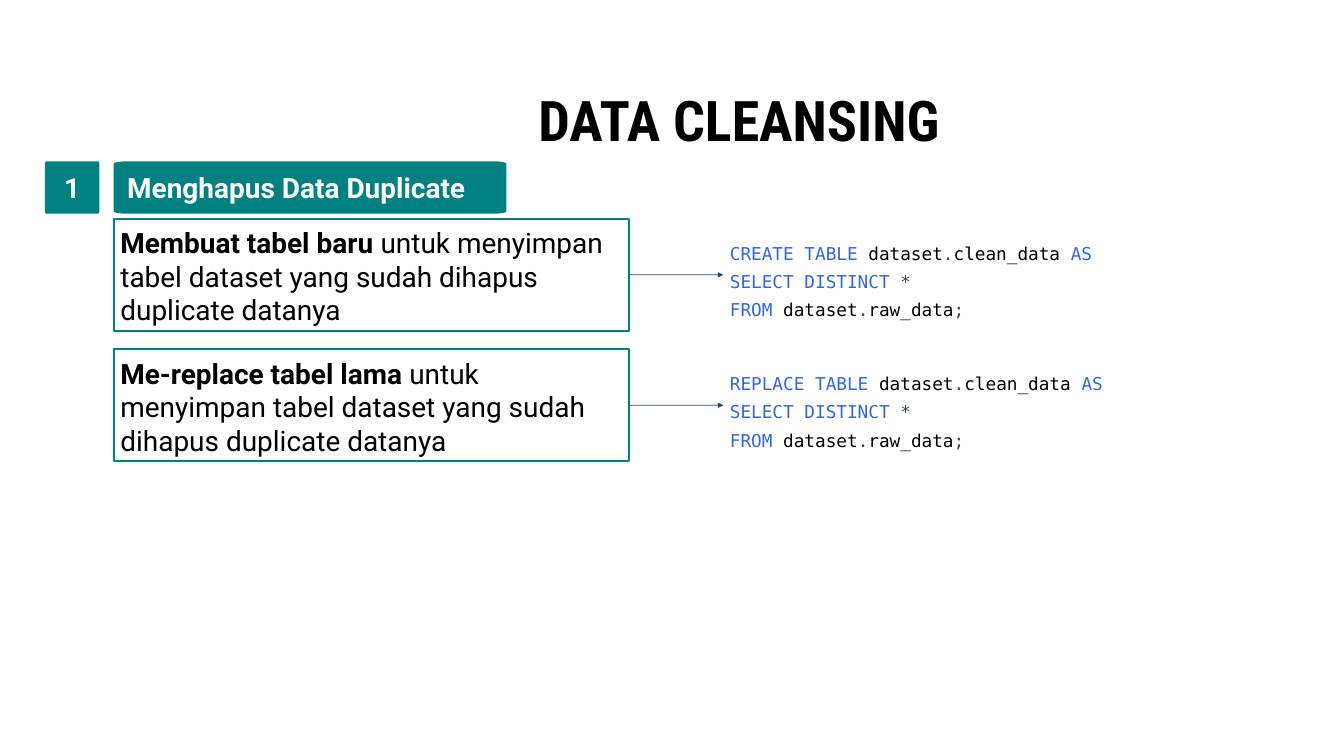
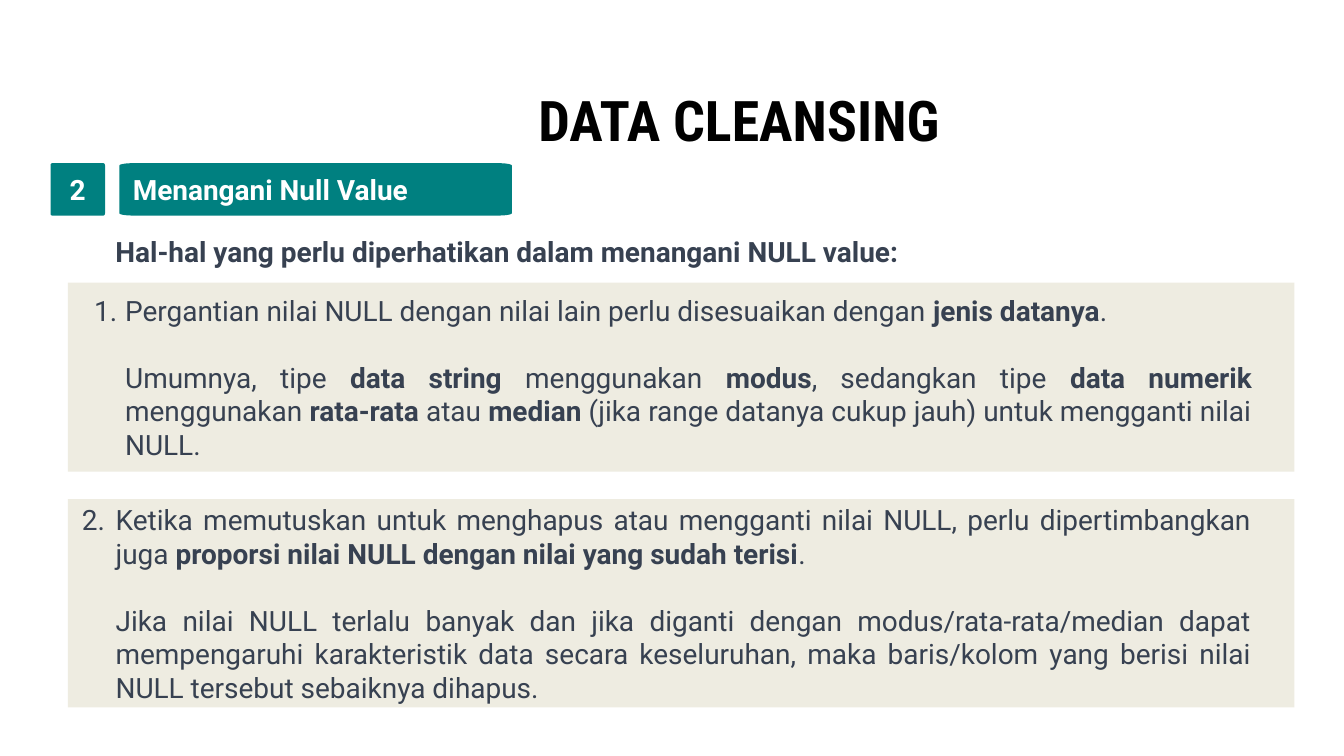
from itertools import groupby
from math import cos, pi, sin

from lxml.etree import SubElement
from pptx import Presentation
from pptx.dml.color import RGBColor
from pptx.enum.shapes import MSO_CONNECTOR, MSO_SHAPE
from pptx.enum.text import MSO_ANCHOR as Anchor, MSO_AUTO_SIZE, PP_ALIGN as Align
from pptx.oxml.ns import qn
from pptx.util import Cm, Pt

COLORS = {
    "teal": "008080",
    "panel": "EEECE1",
    "arrow": "1F497D",
    "black": "000000",
    "white": "FFFFFF",
    "slate": "374151",
    "keyword": "3367D6",
    "symbol": "3A474E",
    "star": "37474F",
}
BODY_FONT = "Roboto"
TITLE_FONT = "Roboto Condensed"
CODE_FONT = "DejaVu Sans Mono"
TITLE_ONLY = 5
INSET = 0.25


def rgb(name):
    return RGBColor.from_string(COLORS[name])


def bold_runs(text):
    """Split text at ** marks; every second part is bold."""
    return [(part, {"bold": index % 2 == 1})
            for index, part in enumerate(text.split("**")) if part]


def token_color(character):
    if character.isupper():
        return "keyword"
    if character.islower() or character == "_":
        return "black"
    return "star" if character == "*" else "symbol"


def code_runs(line):
    return [("".join(characters), {"color": color})
            for color, characters in groupby(line, token_color)]


def write_text(shape, paragraphs, font=BODY_FONT, size=30, color="black", bold=False,
               align=Align.LEFT, anchor=Anchor.TOP, insets=(INSET,) * 4,
               line_spacing=None, gap=0, indent=0):
    """Fill a shape with paragraphs, each a string or a list of (text, format) runs.

    A newline inside a run becomes a line break.
    """
    frame = shape.text_frame
    frame.word_wrap = True
    frame.auto_size = MSO_AUTO_SIZE.NONE
    frame.vertical_anchor = anchor
    (frame.margin_left, frame.margin_top,
     frame.margin_right, frame.margin_bottom) = map(Cm, insets)
    for index, runs in enumerate(paragraphs):
        paragraph = frame.add_paragraph() if index else frame.paragraphs[0]
        paragraph.alignment = align
        if line_spacing:
            paragraph.line_spacing = line_spacing
        if index and gap:
            paragraph.space_before = Pt(gap)
        if indent:
            paragraph._p.get_or_add_pPr().set("marL", str(Cm(indent)))
        for text, style in [(runs, {})] if isinstance(runs, str) else runs:
            for line_index, line in enumerate(text.split("\n")):
                if line_index:
                    paragraph.add_line_break()
                run = paragraph.add_run()
                run.text = line
                run.font.name = font
                run.font.size = Pt(size)
                run.font.bold = style.get("bold", bold)
                run.font.color.rgb = rgb(style.get("color", color))


def number_paragraph(paragraph, number, hanging):
    properties = paragraph._p.get_or_add_pPr()
    properties.set("indent", str(-Cm(hanging)))
    bullet_color = SubElement(properties, qn("a:buClr"))
    SubElement(bullet_color, qn("a:srgbClr"), val=COLORS["slate"])
    SubElement(properties, qn("a:buFont"), typeface=BODY_FONT)
    SubElement(properties, qn("a:buAutoNum"), type="arabicPeriod", startAt=str(number))


def style_shape(shape, fill=None, line=None, line_width=2.25):
    shape.shadow.inherit = False
    if fill:
        shape.fill.solid()
        shape.fill.fore_color.rgb = rgb(fill)
    else:
        shape.fill.background()
    if line:
        shape.line.color.rgb = rgb(line)
        shape.line.width = Pt(line_width)
    else:
        shape.line.fill.background()


def add_text_box(slide, left, top, width, height, paragraphs, **text_format):
    box = slide.shapes.add_textbox(Cm(left), Cm(top), Cm(width), Cm(height))
    write_text(box, paragraphs, **text_format)
    return box


def add_rectangle(slide, left, top, width, height, **style):
    shape = slide.shapes.add_shape(
        MSO_SHAPE.RECTANGLE, Cm(left), Cm(top), Cm(width), Cm(height))
    style_shape(shape, **style)
    return shape


def add_rounded_band(slide, left, top, width, height, radius_x, radius_y, steps=6):
    """Draw a teal band whose corners are quarter ellipses."""
    corners = [(left + width - radius_x, top + height - radius_y),
               (left + radius_x, top + height - radius_y),
               (left + radius_x, top + radius_y),
               (left + width - radius_x, top + radius_y)]
    points = []
    for quarter, (center_x, center_y) in enumerate(corners):
        for step in range(steps + 1):
            angle = (quarter + step / steps) * pi / 2
            points.append((Cm(center_x + radius_x * cos(angle)),
                           Cm(center_y + radius_y * sin(angle))))
    builder = slide.shapes.build_freeform(*points[0])
    builder.add_line_segments(points[1:], close=True)
    band = builder.convert_to_shape()
    style_shape(band, fill="teal")
    return band


def add_arrow(slide, source, target):
    """Join the right side of source to the left side of target."""
    arrow = slide.shapes.add_connector(MSO_CONNECTOR.STRAIGHT, 0, 0, 0, 0)
    arrow.begin_connect(source, 3)
    arrow.end_connect(target, 1)
    arrow.line.color.rgb = rgb("arrow")
    arrow.line.width = Pt(0.75)
    SubElement(arrow.line._get_or_add_ln(), qn("a:tailEnd"), type="triangle")
    SubElement(arrow._element.spPr, qn("a:effectLst"))


def add_titled_slide(presentation):
    slide = presentation.slides.add_slide(presentation.slide_layouts[TITLE_ONLY])
    title = slide.shapes.title
    title.left, title.top, title.width, title.height = map(Cm, (10.62, 2.21, 34.62, 2.57))
    write_text(title, ["DATA CLEANSING"], font=TITLE_FONT, size=60, bold=True,
               align=Align.CENTER, insets=(0,) * 4, line_spacing=1.4)
    return slide


def add_section_heading(slide, left, top, number, label):
    height = 1.98
    badge = add_rounded_band(slide, left, top, 2.06, height, 0.07, 0.08)
    write_text(badge, [number], color="white", bold=True,
               align=Align.CENTER, anchor=Anchor.MIDDLE)
    band = add_rounded_band(slide, left + 2.6, top, 14.84, height, 0.5, 0.09)
    write_text(band, [label], color="white", bold=True, anchor=Anchor.MIDDLE,
               insets=(0.51, INSET, INSET, INSET))


def add_query_step(slide, left, top, description, query):
    """Place an outlined description with an arrow to its SQL query."""
    width, height, query_height = 19.48, 4.22, 3.48
    box = add_rectangle(slide, left, top, width, height, line="teal")
    write_text(box, [bold_runs(description)])
    code = add_text_box(
        slide, left + width + 3.56, top + (height - query_height) / 2, 16, query_height,
        [code_runs(line) for line in query], font=CODE_FONT, size=19, line_spacing=1.33)
    add_arrow(slide, box, code)


def add_numbered_panel(slide, left, top, width, height, number, paragraphs,
                       text_offset, hanging):
    add_rectangle(slide, left, top, width, height, fill="panel")
    box = add_text_box(
        slide, left + text_offset, top, width - text_offset - 1.36, height,
        [bold_runs(text) for text in paragraphs], color="slate", align=Align.JUSTIFY,
        anchor=Anchor.MIDDLE, gap=36, indent=1.27)
    number_paragraph(box.text_frame.paragraphs[0], number, hanging)


def build_duplicate_slide(presentation):
    slide = add_titled_slide(presentation)
    add_section_heading(slide, 1.7, 6.1, "1", "Menghapus Data Duplicate")
    steps = [("Membuat tabel baru", "CREATE"), ("Me-replace tabel lama", "REPLACE")]
    for index, (action, command) in enumerate(steps):
        add_query_step(
            slide, 4.3, 8.28 + index * 4.93,
            f"**{action}** untuk menyimpan tabel dataset yang sudah dihapus duplicate datanya",
            [f"{command} TABLE dataset.clean_data AS",
             "SELECT DISTINCT *",
             "FROM dataset.raw_data;"])


def build_null_slide(presentation):
    slide = add_titled_slide(presentation)
    add_section_heading(slide, 1.91, 6.17, "2", "Menangani Null Value")
    add_text_box(slide, 2.84, 8.62, 39.85, 1.8,
                 ["Hal-hal yang perlu diperhatikan dalam menangani NULL value:"],
                 color="slate", bold=True, align=Align.JUSTIFY, indent=1.27)
    add_numbered_panel(
        slide, 2.57, 10.69, 46.36, 7.14, 1,
        ["Pergantian nilai NULL dengan nilai lain perlu disesuaikan dengan "
         "**jenis datanya**.",
         "Umumnya, tipe **data string** menggunakan **modus**, sedangkan tipe "
         "**data numerik** menggunakan **rata-rata **atau** median **(jika range datanya "
         "cukup jauh) untuk mengganti nilai NULL."],
        text_offset=0.64, hanging=1.17)
    add_numbered_panel(
        slide, 2.57, 18.87, 46.36, 7.87, 2,
        ["Ketika memutuskan untuk menghapus atau mengganti nilai NULL, perlu "
         "dipertimbangkan\njuga **proporsi nilai NULL dengan nilai yang sudah terisi**.",
         "Jika nilai NULL terlalu banyak dan jika diganti dengan modus/rata-rata/median "
         "dapat mempengaruhi karakteristik data secara keseluruhan, maka baris/kolom yang "
         "berisi nilai NULL tersebut sebaiknya dihapus."],
        text_offset=0.28, hanging=1.27)


def main():
    presentation = Presentation()
    presentation.slide_width = Cm(50.8)
    presentation.slide_height = Cm(28.58)
    build_duplicate_slide(presentation)
    build_null_slide(presentation)
    presentation.save("out.pptx")


if __name__ == "__main__":
    main()
